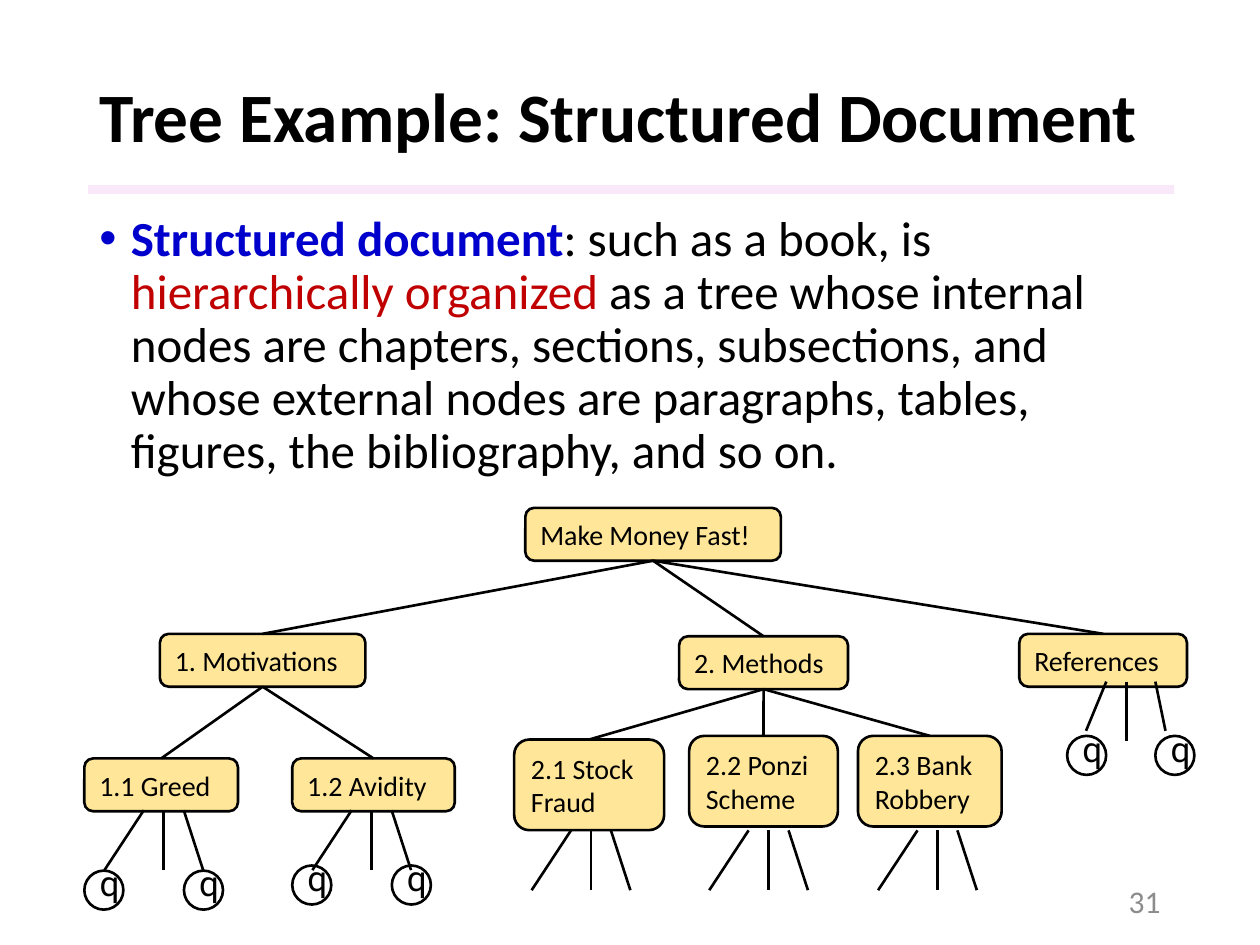
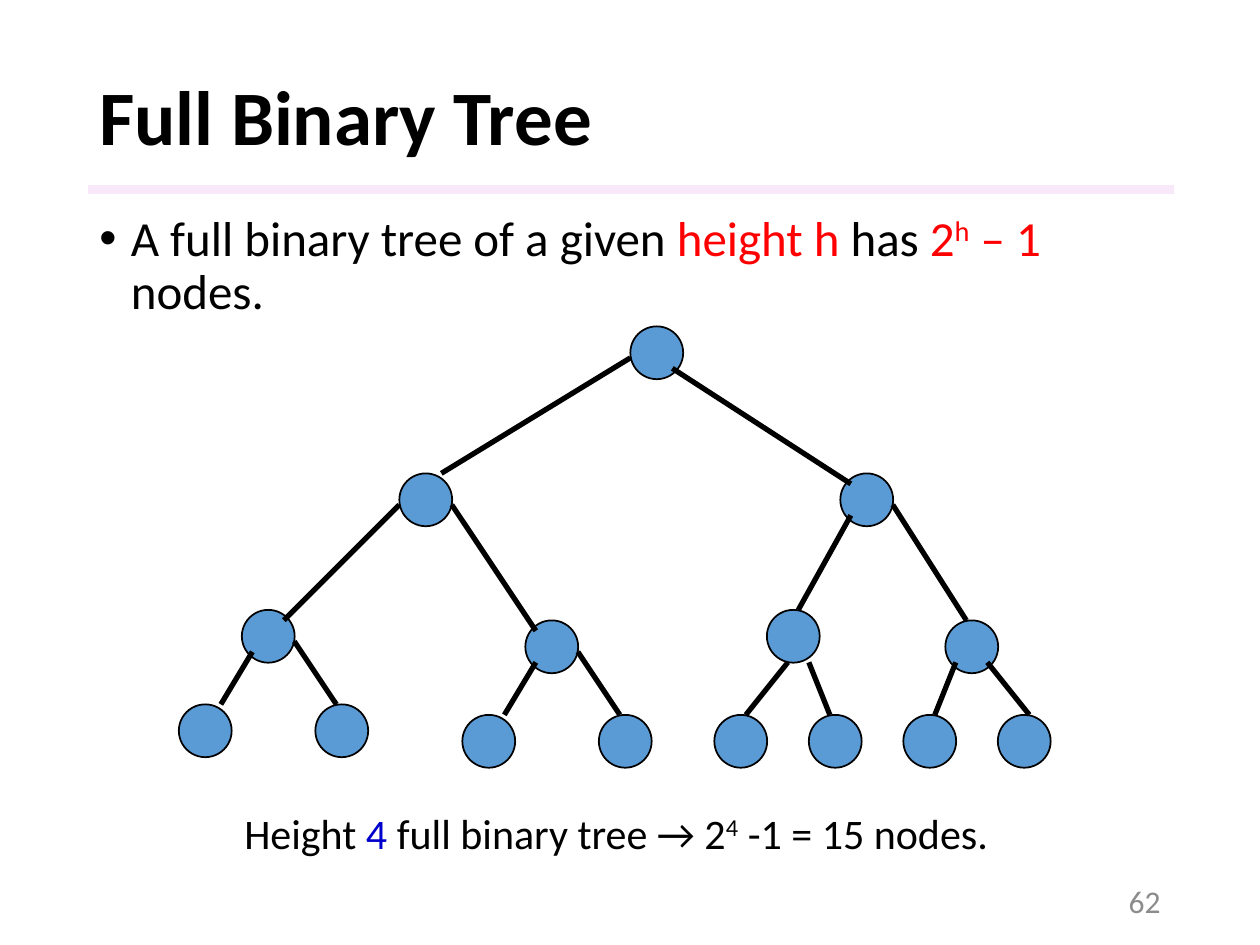
from collections import namedtuple

from lxml import etree
from pptx import Presentation
from pptx import util as u
from pptx.dml.color import RGBColor
from pptx.enum import shapes, text
from pptx.oxml.ns import qn

Box = namedtuple("Box", "left top width height")

COLORS = {
    "ink": "000000",
    "band": "F3D2F4",
    "number": "8C8C8C",
    "term": "0000CC",
    "stress": "C00000",
    "formula": "FF0000",
    "section": "FFE699",
    "node": "5B9BD5",
}
FONT = "Calibri"
LEAF_FONT = "Roboto"

BAND = Box(50.4, 105.8, 620.6, 5)
TITLE = Box(49.7, 28.8, 620.6, 80)
NUMBER = Box(508.3, 500.4, 162, 28.8)
STATEMENT = Box(49.7, 118.8, 620.6, 166)
DOCUMENT_TREE = Box(48.2, 290.2, 634.5, 230)
BINARY_TREE = Box(102.2, 186.5, 498, 252)
CAPTION = Box(132.5, 457.9, 450, 36)

SECTION_HEIGHT = 30.2
SUBSECTION_HEIGHT = 51.8
LEAF_SIZE = 22.3
NODE_SIZE = 30.2

SECTIONS = {
    "Make Money Fast!": (252, 0, 146, SECTION_HEIGHT),
    "1. Motivations": (43.2, 72, 117.4, SECTION_HEIGHT),
    "References": (534.3, 72, 95.8, SECTION_HEIGHT),
    "2. Methods": (339.9, 73.4, 96.5, SECTION_HEIGHT),
    "2.1 Stock\vFraud": (245.6, 132.4, 85.7, SUBSECTION_HEIGHT),
    "2.2 Ponzi\vScheme": (345.6, 130.3, 85, SUBSECTION_HEIGHT),
    "2.3 Bank\vRobbery": (442.1, 130.3, 82.1, SUBSECTION_HEIGHT),
    "1.1 Greed": (0, 143.2, 87.8, SECTION_HEIGHT),
    "1.2 Avidity": (118.8, 143.2, 92.9, SECTION_HEIGHT),
}
SUBSECTIONS = {
    "Make Money Fast!": ["1. Motivations", "2. Methods", "References"],
    "1. Motivations": ["1.1 Greed", "1.2 Avidity"],
    "2. Methods": ["2.1 Stock\vFraud", "2.2 Ponzi\vScheme", "2.3 Bank\vRobbery"],
}
TWIGS = [(-11.4, -33.9, 34.2), (0, 0, 34.2), (11.4, 22.5, 34.2)]
REFERENCE_TWIGS = [(-11.5, -23.1, 28.1), (0, 0, 33.9), (16.5, 22.3, 28.1)]
FANS = [(45.4, 172.8, TWIGS), (164.2, 172.8, TWIGS), (289.5, 184.3, TWIGS),
        (391, 184.3, TWIGS), (487.5, 184.3, TWIGS), (595.5, 99.3, REFERENCE_TWIGS)]
LEAVES = [(0, 207.3), (56.9, 207.3), (118.8, 204.4), (175.7, 204.4),
          (612, 130.3), (561.6, 130.3)]

NODES = [(258, 0), (126, 84), (378, 84),
         (36, 162), (198, 168), (336, 162), (438, 168),
         (0, 216), (78, 216), (162, 222), (240, 222),
         *((left, 222) for left in range(306, 469, 54))]
EDGES = [
    ((258, 18), (150, 84)), ((282, 24), (384, 90)),
    ((126, 102), (60, 168)), ((156, 102), (204, 174)),
    ((384, 108), (354, 162)), ((408, 102), (450, 168)),
    ((42, 186), (24, 216)), ((66, 180), (90, 216)),
    ((204, 192), (186, 222)), ((228, 186), (252, 222)),
    ((348, 192), (324, 222)), ((360, 192), (372, 222)),
    ((444, 192), (432, 222)), ((462, 192), (486, 222)),
]


def rgb(name):
    return RGBColor.from_string(COLORS[name])


def points(*lengths):
    return [u.Pt(length) for length in lengths]


def inside(box, left, top, width, height):
    return Box(box.left + left, box.top + top, width, height)


def style(font, size, color="ink", bold=False, name=FONT):
    font.size, font.bold, font.name = u.Pt(size), bold, name
    font.color.rgb = rgb(color)


def add_outline(slide, kind, box, fill=None, width=None):
    outline = slide.shapes.add_shape(kind, *points(*box))
    outline.shadow.inherit = False
    if fill:
        outline.fill.solid()
        outline.fill.fore_color.rgb = rgb(fill)
    else:
        outline.fill.background()
    if width:
        outline.line.color.rgb = rgb("ink")
        outline.line.width = u.Pt(width)
    else:
        outline.line.fill.background()
    return outline


def add_line(slide, start, end, width):
    line = slide.shapes.add_connector(
        shapes.MSO_CONNECTOR.STRAIGHT, *points(*start, *end))
    line.line.color.rgb = rgb("ink")
    line.line.width = u.Pt(width)
    etree.SubElement(line._element.spPr, qn("a:effectLst"))
    return line


def add_text(slide, box, pieces, size, bold=False, name=FONT,
             anchor=text.MSO_ANCHOR.TOP):
    frame = slide.shapes.add_textbox(*points(*box)).text_frame
    frame.word_wrap = True
    frame.vertical_anchor = anchor
    paragraph = frame.paragraphs[0]
    for words, color, *raised in pieces:
        run = paragraph.add_run()
        run.text = words
        style(run.font, size, color, bold, name)
        if raised:
            run._r.get_or_add_rPr().set("baseline", "30000")
    return paragraph


def add_base(deck, title, title_size, number):
    slide = deck.slides.add_slide(deck.slide_layouts[6])
    band = add_outline(slide, shapes.MSO_SHAPE.RECTANGLE, BAND, "band")
    tint = band._element.spPr.find(".//" + qn("a:srgbClr"))
    etree.SubElement(tint, qn("a:alpha"), val="50000")
    middle = text.MSO_ANCHOR.MIDDLE
    heading = add_text(slide, TITLE, [(title, "ink")], title_size, True, anchor=middle)
    heading.line_spacing = 0.9
    page = add_text(slide, NUMBER, [(number, "number")], 18, anchor=middle)
    page.alignment = text.PP_ALIGN.RIGHT
    return slide


def add_statement(slide, box, pieces):
    statement = add_text(slide, box, pieces, 28)
    statement.line_spacing = 0.9
    properties = statement._p.get_or_add_pPr()
    properties.set("marL", str(u.Pt(18)))
    properties.set("indent", str(u.Pt(-18)))
    etree.SubElement(properties, qn("a:buFont"), typeface="Arial")
    etree.SubElement(properties, qn("a:buChar"), char="•")
    return statement


def add_section(slide, box, label):
    section = add_outline(
        slide, shapes.MSO_SHAPE.ROUNDED_RECTANGLE, box, "section", 1.5)
    section.adjustments[0] = 0.167
    frame = section.text_frame
    frame.word_wrap = True
    frame.vertical_anchor = text.MSO_ANCHOR.MIDDLE
    frame.text = label
    frame.paragraphs[0].alignment = text.PP_ALIGN.LEFT
    for run in frame.paragraphs[0].runs:
        style(run.font, 16)


def add_leaf(slide, box):
    add_outline(slide, shapes.MSO_SHAPE.OVAL, box, width=1.5)
    mark = inside(box, 1.6, -8.6, 30, 31)
    add_text(slide, mark, [("q", "ink")], 20, name=LEAF_FONT)


def add_document_tree(slide, box):
    sections = {}
    for label, place in SECTIONS.items():
        add_section(slide, inside(box, *place), label)
        sections[label] = slide.shapes[-1]
    for parent, children in SUBSECTIONS.items():
        for child in children:
            branch = add_line(slide, (0, 0), (0, 0), 1.5)
            branch.begin_connect(sections[parent], 2)
            branch.end_connect(sections[child], 0)
    for left, top, twigs in FANS:
        x, y = box.left + left, box.top + top
        for near, far, drop in twigs:
            add_line(slide, (x + near, y), (x + far, y + drop), 1.5)
    for left, top in LEAVES:
        add_leaf(slide, inside(box, left, top, LEAF_SIZE, LEAF_SIZE))


def add_binary_tree(slide, box):
    for left, top in NODES:
        add_outline(slide, shapes.MSO_SHAPE.OVAL,
                    inside(box, left, top, NODE_SIZE, NODE_SIZE), "node", 1)
    for edge in EDGES:
        start, end = [(box.left + x, box.top + y) for x, y in edge]
        add_line(slide, start, end, 3)


def structured_document(deck):
    slide = add_base(deck, "Tree Example: Structured Document", 39.6, "31")
    statement = add_statement(slide, STATEMENT, [
        ("Structured document", "term"),
        (": such as a book, is ", "ink"),
        ("hierarchically organized ", "stress"),
        ("as a tree whose internal nodes are chapters, sections, subsections, "
         "and whose external nodes are paragraphs, tables, figures, "
         "the bibliography, and so on.", "ink"),
    ])
    statement.runs[0].font.bold = True
    add_document_tree(slide, DOCUMENT_TREE)


def full_binary_tree(deck):
    slide = add_base(deck, "Full Binary Tree", 44, "62")
    add_statement(slide, STATEMENT._replace(height=74), [
        ("A full binary tree of a given ", "ink"),
        ("height h", "formula"),
        (" has ", "ink"),
        ("2", "formula"),
        ("h", "formula", True),
        (" – 1 ", "formula"),
        ("nodes.", "ink"),
    ])
    add_binary_tree(slide, BINARY_TREE)
    add_text(slide, CAPTION, [
        ("Height ", "ink"),
        ("4", "term"),
        (" full binary tree → 2", "ink"),
        ("4", "ink", True),
        (" -1 = 15 nodes.", "ink"),
    ], 24)


def main():
    deck = Presentation()
    deck.slide_width, deck.slide_height = points(720, 540)
    structured_document(deck)
    full_binary_tree(deck)
    deck.save("out.pptx")


if __name__ == "__main__":
    main()
